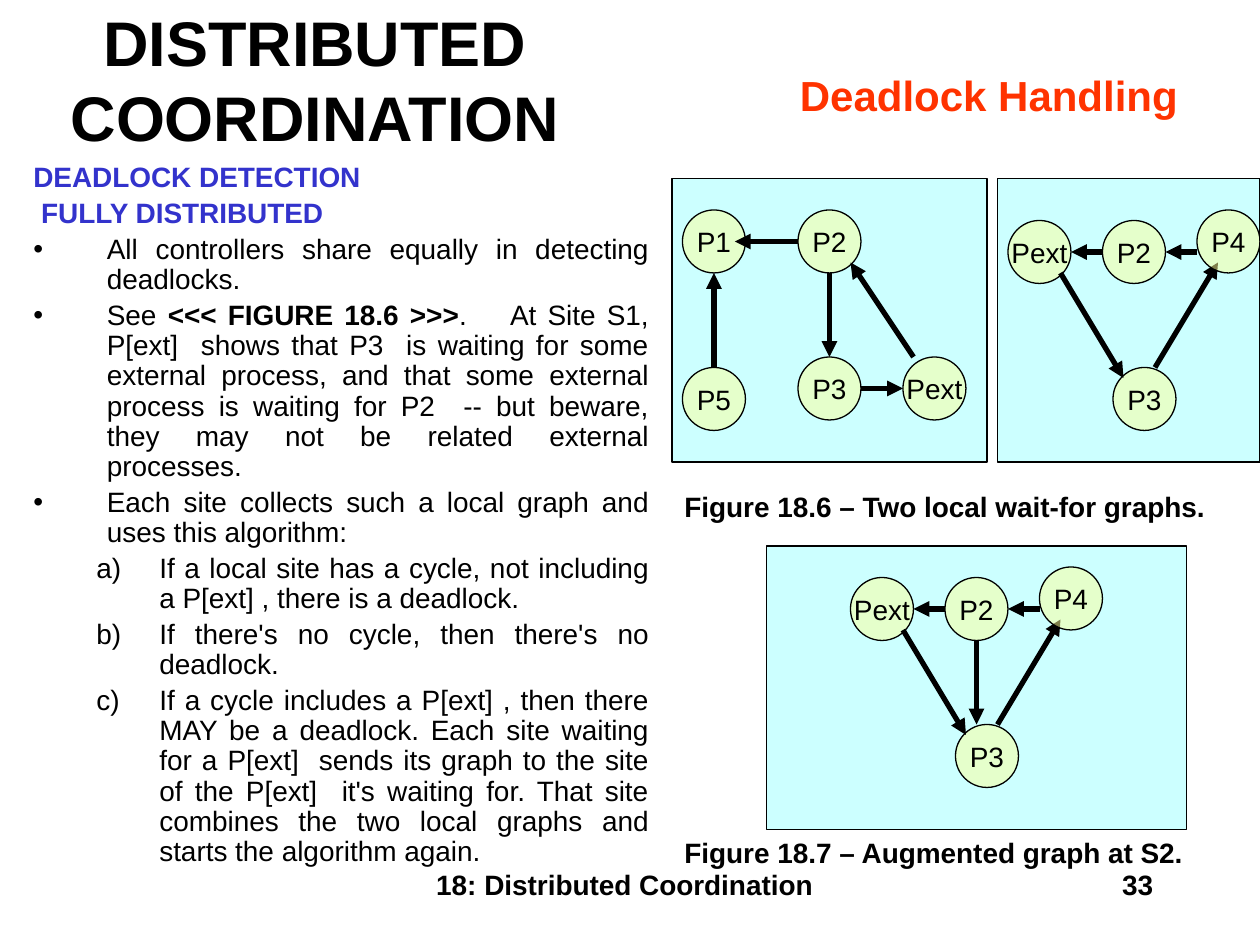
from lxml import etree
from pptx import Presentation
from pptx import util as u
from pptx.dml.color import RGBColor
from pptx.enum import shapes, text
from pptx.oxml.ns import qn

COLORS = {
    "ink": "000000",
    "heading": "3333CC",
    "topic": "FF3300",
    "panel": "CCFFFF",
    "node": "FFFF99",
}
ALIGN = text.PP_ALIGN
NODE = 6  # node diameter in grid units
NBSP = "\N{NO-BREAK SPACE}"

BULLET = ("buChar", {"char": "•"})
LETTER = ("buAutoNum", {"type": "alphaLcParenR"})
BODY = [  # runs as (text, bold, colour), then the bullet
    ([("DEADLOCK DETECTION", True, "heading")], None),
    ([(NBSP, False, "heading"), ("FULLY DISTRIBUTED", True, "heading")], None),
    ([("All controllers share equally in detecting deadlocks.", False, "ink")], BULLET),
    ([("See ", False, "ink"), ("<<< FIGURE 18.6 >>>", True, "ink"),
      (".    At Site S1, P[ext]  shows that P3  is waiting for some external process, "
       "and that some external process is waiting for P2  -- but beware, they may not "
       "be related external processes." + NBSP, False, "ink")], BULLET),
    ([("Each site collects such a local graph and uses this algorithm:", False, "ink")], BULLET),
    ([("If a local site has a cycle, not including a P[ext] , there is a deadlock.",
       False, "ink")], LETTER),
    ([("If there's no cycle, then there's no deadlock.", False, "ink")], LETTER),
    ([("If a cycle includes a P[ext] , then there MAY be a deadlock. Each site waiting "
       "for a P[ext]  sends its graph to the site of the P[ext]  it's waiting for. That "
       "site combines the two local graphs and starts the algorithm again.",
       False, "ink")], LETTER),
]


def grid(n):
    """Length of n grid units; twelve units make an inch."""
    return u.Inches(n / 12)


def rgb(name):
    return RGBColor.from_string(COLORS[name])


def add_run(p, words, size=16, bold=False, color="ink"):
    r = p.add_run()
    r.text = words
    r.font.name = "Arial"
    r.font.size = u.Pt(size)
    r.font.bold = bold
    r.font.color.rgb = rgb(color)


def add_text(s, words, box, align=ALIGN.LEFT, wrap=True, anchor=text.MSO_ANCHOR.TOP, **font):
    tf = s.shapes.add_textbox(*map(grid, box)).text_frame
    tf.word_wrap = wrap
    tf.vertical_anchor = anchor
    p = tf.paragraphs[0]
    p.alignment = align
    add_run(p, words, bold=True, **font)


def add_body(s, box):
    tf = s.shapes.add_textbox(*map(grid, box)).text_frame
    tf.word_wrap = True
    for i, (runs, bullet) in enumerate(BODY):
        p = tf.add_paragraph() if i else tf.paragraphs[0]
        p.alignment = ALIGN.JUSTIFY
        p.line_spacing = 0.9
        p.space_before = u.Pt(3.2)
        lettered = bullet is LETTER
        p.level = int(lettered)
        pPr = p._p.get_or_add_pPr()
        pPr.set("marL", str(grid(12 if lettered else 7)))
        pPr.set("indent", str(-grid(6 if lettered else 7)))
        if bullet:
            tag, attributes = bullet
            etree.SubElement(pPr, qn("a:buFont"), typeface="Arial")
            etree.SubElement(pPr, qn("a:" + tag), attributes)
        for words, bold, color in runs:
            add_run(p, words, bold=bold, color=color)


def add_outlined(s, kind, box, color):
    sp = s.shapes.add_shape(kind, *map(grid, box))
    sp.shadow.inherit = False
    sp.fill.solid()
    sp.fill.fore_color.rgb = rgb(color)
    sp.line.color.rgb = rgb("ink")
    sp.line.width = u.Pt(0.75)
    return sp


def add_panel(s, *box):
    add_outlined(s, shapes.MSO_SHAPE.RECTANGLE, box, "panel")


def add_node(s, name, x, y):
    sp = add_outlined(s, shapes.MSO_SHAPE.OVAL, (x, y, NODE, NODE), "node")
    fill = sp._element.spPr.find(qn("a:solidFill"))
    etree.SubElement(fill[0], qn("a:alpha"), val="50000")
    tf = sp.text_frame
    tf.word_wrap = False
    tf.vertical_anchor = text.MSO_ANCHOR.MIDDLE
    p = tf.paragraphs[0]
    p.alignment = ALIGN.CENTER
    add_run(p, name)


def add_arrow(s, *ends):
    c = s.shapes.add_connector(shapes.MSO_CONNECTOR.STRAIGHT, *map(grid, ends))
    c.line.color.rgb = rgb("ink")
    c.line.width = u.Pt(3)
    etree.SubElement(c.line._get_or_add_ln(), qn("a:tailEnd"), type="triangle")
    etree.SubElement(c._element.spPr, qn("a:effectLst"))


def add_graph(s, left, top, nodes, arrows, behind=()):
    """Draw nodes and arrows relative to (left, top); arrows in behind go under the nodes."""
    def draw_arrows(group):
        for x1, y1, x2, y2 in group:
            add_arrow(s, left + x1, top + y1, left + x2, top + y2)

    draw_arrows(behind)
    for name, x, y in nodes:
        add_node(s, name, left + x, top + y)
    draw_arrows(arrows)


def add_site_one(s, left, top):
    nodes = [("P1", 0, 0), ("P2", 11, 0), ("P3", 11, 14), ("P5", 0, 15), ("Pext", 21, 14)]
    arrows = [(3, 15, 3, 6), (14, 6, 14, 14), (11, 3, 5, 3), (22, 14, 16, 5), (17, 17, 21, 17)]
    add_graph(s, left, top, nodes, arrows)


def add_site_two(s, left, top, extra=()):
    nodes = [("P3", 10, 14), ("P4", 18, -1), ("P2", 9, 0), ("Pext", 0, 0)]
    arrows = [(18, 3, 15, 3), (9, 3, 6, 3), (5, 5, 11, 15), *extra]
    add_graph(s, left, top, nodes, arrows, behind=[(14, 14, 20, 4)])


def main():
    prs = Presentation()
    prs.slide_width, prs.slide_height = grid(120), grid(90)
    s = prs.slides.add_slide(prs.slide_layouts[6])

    add_text(s, "18: Distributed Coordination", (36, 82, 47, 6), ALIGN.CENTER)
    add_text(s, "33", (86, 82, 25, 6), ALIGN.RIGHT)
    add_body(s, (2, 15, 61, 71))
    add_text(s, "DISTRIBUTED COORDINATION", (0, 0, 60, 15), ALIGN.CENTER,
             anchor=text.MSO_ANCHOR.MIDDLE, size=36)
    add_text(s, "Deadlock Handling", (75, 6, 38.4, 6), wrap=False, size=24, color="topic")

    add_panel(s, 64, 17, 30, 27)
    add_site_one(s, 65, 20)
    add_panel(s, 95, 17, 25, 27)
    add_site_two(s, 96, 21)
    add_text(s, "Figure 18.6 – Two local wait-for graphs.", (64, 46, 54, 4.4))

    add_text(s, "Figure 18.7 – Augmented graph at S2.", (64, 79, 54, 4.4))
    add_panel(s, 73, 52, 40, 27)
    add_site_two(s, 81, 55, extra=[(12, 6, 12, 14)])

    prs.save("out.pptx")


if __name__ == "__main__":
    main()
